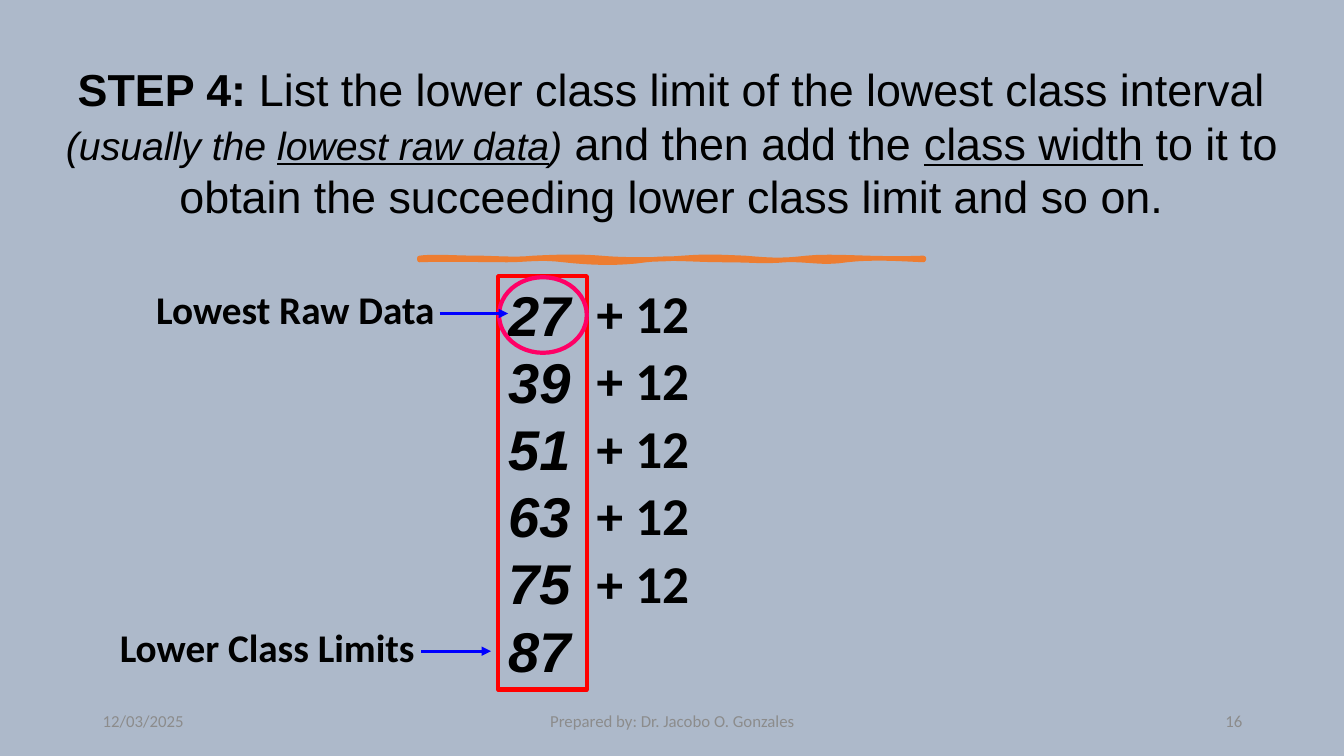
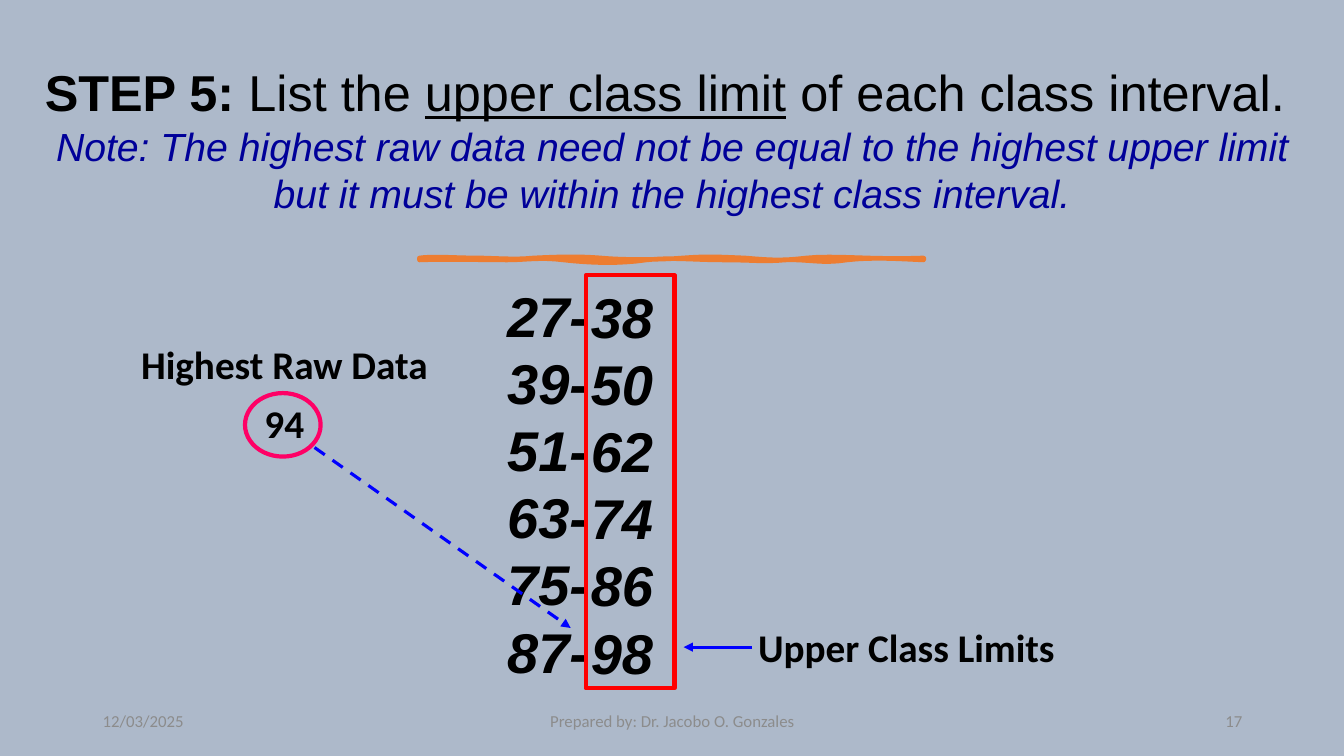
from dataclasses import dataclass

from lxml import etree
from pptx import Presentation
from pptx.dml.color import RGBColor
from pptx.enum.dml import MSO_LINE
from pptx.enum.shapes import MSO_CONNECTOR, MSO_SHAPE
from pptx.enum.text import MSO_ANCHOR, MSO_AUTO_SIZE, PP_ALIGN
from pptx.oxml.ns import qn
from pptx.util import Inches, Pt

LEFT, CENTER, RIGHT = PP_ALIGN.LEFT, PP_ALIGN.CENTER, PP_ALIGN.RIGHT
TOP, MIDDLE = MSO_ANCHOR.TOP, MSO_ANCHOR.MIDDLE
OVAL, RECTANGLE = MSO_SHAPE.OVAL, MSO_SHAPE.RECTANGLE
DASH = MSO_LINE.DASH


@dataclass(frozen=True)
class Theme:
    background: str = "ADB9CA"
    text: str = "000000"
    note: str = "000099"
    footer: str = "8C8C8C"
    swash: str = "ED7D31"
    arrow: str = "0000FF"
    frame: str = "FF0000"
    ring: str = "FF0066"
    title_font: str = "Arial"
    label_font: str = "Calibri"
    note_size: int = 28
    number_size: int = 40
    increment_size: int = 38
    label_size: int = 28
    footer_size: int = 12
    line_height: float = 1.2
    frame_width: float = 3
    arrow_width: float = 2.25
    swash_width: float = 3.25


THEME = Theme()
ASIDE = {"size": THEME.note_size, "italic": True}
UNDERLINED = {"underline": True}
LABEL = {"name": THEME.label_font, "size": THEME.label_size, "bold": True}
INCREMENT = {**LABEL, "size": THEME.increment_size}
FOOTER = {"name": THEME.label_font, "size": THEME.footer_size, "color": THEME.footer}
NUMBER = {"name": THEME.title_font, "size": THEME.number_size, "bold": True, "italic": True}

LOWER_LIMITS = [27, 39, 51, 63, 75, 87]
CLASS_WIDTH = 12
INCREMENT_PITCH = 0.67

# Labels: text, box, alignment. Marks: shape, box, colour. Arrows: start, end, dash.
SLIDES = [
    {
        "layout": 1,
        "page": 16,
        "title_size": 32,
        "title": [[
            ("STEP 4: ", {"bold": True}),
            ("List the lower class limit of the lowest class interval ", {}),
            ("(usually the ", ASIDE),
            ("lowest raw data", {**ASIDE, **UNDERLINED}),
            (")", ASIDE),
            (" and then add the ", {}),
            ("class width", UNDERLINED),
            (" to it to obtain the succeeding lower class limit and so on.", {}),
        ]],
        "columns": [((4.84, 2.73, 1.27, 4.14), [str(limit) for limit in LOWER_LIMITS])],
        "increments": ((5.82, 2.73, 1.38, 0.74), len(LOWER_LIMITS) - 1),
        "labels": [
            ("Lower Class Limits", (1.09, 6.13, 3.46, 0.57), LEFT),
            ("Lowest Raw Data", (1.45, 2.78, 3.27, 0.57), LEFT),
        ],
        "marks": [
            (RECTANGLE, (4.94, 2.74, 0.88, 4.1), THEME.frame),
            (OVAL, (4.95, 2.75, 0.87, 0.75), THEME.ring),
        ],
        "arrows": [
            ((4.18, 6.46), (4.87, 6.46), None),
            ((4.36, 3.11), (5.04, 3.11), None),
        ],
    },
    {
        "layout": 3,
        "page": 17,
        "title_size": 36,
        "title": [
            [
                ("STEP 5: ", {"bold": True}),
                ("List the ", {}),
                ("upper class limit", UNDERLINED),
                (" of each class interval. ", {}),
            ],
            [(
                "Note: The highest raw data need not be equal to the highest upper limit "
                "but it must be within the highest class interval.",
                {**ASIDE, "color": THEME.note},
            )],
        ],
        "columns": [
            ((4.83, 2.74, 1.27, 4.14), [f"{limit}-" for limit in LOWER_LIMITS]),
            ((5.66, 2.75, 1.27, 4.14), [str(limit + CLASS_WIDTH - 1) for limit in LOWER_LIMITS]),
        ],
        "increments": None,
        "labels": [
            ("Upper Class Limits", (7.42, 6.13, 3.46, 0.57), LEFT),
            ("Highest Raw Data", (1.09, 3.33, 3.46, 0.57), CENTER),
            ("94", (1.09, 3.91, 3.46, 0.57), CENTER),
        ],
        "marks": [
            (OVAL, (2.43, 3.9, 0.75, 0.63), THEME.ring),
            (RECTANGLE, (5.81, 2.73, 0.88, 4.1), THEME.frame),
        ],
        "arrows": [
            ((7.46, 6.42), (6.78, 6.42), None),
            ((3.12, 4.44), (5.66, 6.23), DASH),
        ],
    },
]

# Each row is one cubic curve: two control points and the end point.
SWASH_START = (4.16, 2.56)
SWASH_EDGE = [
    (4.28, 2.54, 4.54, 2.56, 4.73, 2.56), (4.92, 2.56, 5.09, 2.58, 5.29, 2.56),
    (5.49, 2.55, 5.74, 2.54, 5.96, 2.56), (6.17, 2.58, 6.53, 2.58, 6.77, 2.56),
    (7.02, 2.54, 7.14, 2.55, 7.39, 2.56), (7.63, 2.58, 7.74, 2.59, 8, 2.56),
    (8.26, 2.53, 8.67, 2.58, 9.16, 2.56), (9.17, 2.57, 9.16, 2.57, 9.16, 2.58),
    (8.95, 2.57, 8.65, 2.55, 8.4, 2.58), (8.15, 2.62, 8.01, 2.57, 7.79, 2.58),
    (7.56, 2.6, 7.47, 2.58, 7.17, 2.58), (6.87, 2.58, 6.67, 2.55, 6.41, 2.58),
    (6.14, 2.62, 5.85, 2.61, 5.59, 2.58), (5.34, 2.55, 5.23, 2.58, 5.03, 2.58),
    (4.83, 2.58, 4.38, 2.57, 4.16, 2.58), (4.16, 2.58, 4.16, 2.57, 4.16, 2.56),
]
CURVE_STEPS = 8


def format_run(run, values):
    values = {"color": THEME.text, **values}
    run.font.color.rgb = RGBColor.from_string(values.pop("color"))
    values["size"] = Pt(values["size"])
    for name, value in values.items():
        setattr(run.font, name, value)


def place(shape, box):
    for name, value in zip(("left", "top", "width", "height"), box):
        setattr(shape, name, Inches(value))


def fill_text(shape, paragraphs, base, alignment=LEFT, anchor=TOP, line_height=None):
    """Write paragraphs, each a list of (text, format) runs, over a base format."""
    frame = shape.text_frame
    settings = {"word_wrap": True, "auto_size": MSO_AUTO_SIZE.NONE, "vertical_anchor": anchor}
    for name, value in settings.items():
        setattr(frame, name, value)
    for index, runs in enumerate(paragraphs):
        paragraph = frame.add_paragraph() if index else frame.paragraphs[0]
        paragraph.alignment = alignment
        paragraph.space_before = Pt(0)
        formats = [{**base, **values} for _, values in runs]
        if line_height:
            paragraph.line_spacing = Pt(line_height * max(values["size"] for values in formats))
        for (text, _), values in zip(runs, formats):
            run = paragraph.add_run()
            run.text = text
            format_run(run, values)


def add_text(slide, text, box, base, alignment=LEFT, anchor=TOP):
    shape = slide.shapes.add_textbox(*map(Inches, box))
    fill_text(shape, [[(text, {})]], base, alignment, anchor)


def fill_column(placeholder, box, numbers):
    place(placeholder, box)
    fill_text(placeholder, [[(number, {})] for number in numbers], NUMBER,
              line_height=THEME.line_height)
    for paragraph in placeholder.text_frame.paragraphs:
        properties = paragraph._p.get_or_add_pPr()
        properties.set("marL", str(Inches(0.1)))
        properties.set("indent", "0")
        etree.SubElement(properties, qn("a:buNone"))


def set_line(shape, color, width):
    shape.line.color.rgb = RGBColor.from_string(color)
    shape.line.width = Pt(width)


def add_mark(slide, kind, box, color):
    shape = slide.shapes.add_shape(kind, *map(Inches, box))
    shape.shadow.inherit = False
    shape.fill.background()
    set_line(shape, color, THEME.frame_width)


def add_arrow(slide, start, end, dash):
    arrow = slide.shapes.add_connector(MSO_CONNECTOR.STRAIGHT, *map(Inches, start + end))
    set_line(arrow, THEME.arrow, THEME.arrow_width)
    if dash:
        arrow.line.dash_style = dash
    etree.SubElement(arrow.line._get_or_add_ln(), qn("a:tailEnd"), type="triangle")
    etree.SubElement(arrow.element.spPr, qn("a:effectLst"))


def curve_points(start, curves):
    """Sample a chain of cubic curves."""
    points = []
    for x1, y1, x2, y2, x3, y3 in curves:
        for step in range(1, CURVE_STEPS + 1):
            t = step / CURVE_STEPS
            weights = ((1 - t) ** 3, 3 * t * (1 - t) ** 2, 3 * t * t * (1 - t), t ** 3)
            points.append(tuple(
                Inches(sum(weight * value for weight, value in zip(weights, values)))
                for values in ((start[0], x1, x2, x3), (start[1], y1, y2, y3))
            ))
        start = (x3, y3)
    return points


def add_swash(slide):
    builder = slide.shapes.build_freeform(*map(Inches, SWASH_START))
    builder.add_line_segments(curve_points(SWASH_START, SWASH_EDGE), close=True)
    swash = builder.convert_to_shape()
    swash.shadow.inherit = False
    swash.fill.solid()
    swash.fill.fore_color.rgb = RGBColor.from_string(THEME.swash)
    set_line(swash, THEME.swash, THEME.swash_width)


def add_footer(slide, page):
    for text, left, width, alignment in (
        ("12/03/2025", 0.92, 3, LEFT),
        ("Prepared by: Dr. Jacobo O. Gonzales", 4.42, 4.5, CENTER),
        (str(page), 9.42, 3, RIGHT),
    ):
        add_text(slide, text, (left, 6.95, width, 0.4), FOOTER, alignment, MIDDLE)


def build_slide(presentation, content):
    slide = presentation.slides.add_slide(presentation.slide_layouts[content["layout"]])
    title, *bodies = slide.placeholders
    place(title, (0.16, 0.56, 13.01, 1.72))
    title_format = {"name": THEME.title_font, "size": content["title_size"]}
    fill_text(title, content["title"], title_format, CENTER, line_height=THEME.line_height)
    for body, (box, numbers) in zip(bodies, content["columns"]):
        fill_column(body, box, numbers)
    add_swash(slide)
    add_footer(slide, content["page"])
    if content["increments"]:
        (left, top, width, height), count = content["increments"]
        for row in range(count):
            box = (left, top + row * INCREMENT_PITCH, width, height)
            add_text(slide, f"+ {CLASS_WIDTH}", box, INCREMENT)
    for text, box, alignment in content["labels"]:
        add_text(slide, text, box, LABEL, alignment)
    for mark in content["marks"]:
        add_mark(slide, *mark)
    for arrow in content["arrows"]:
        add_arrow(slide, *arrow)


def main():
    presentation = Presentation()
    presentation.slide_width, presentation.slide_height = Inches(13.33), Inches(7.5)
    background = presentation.slide_master.background.fill
    background.solid()
    background.fore_color.rgb = RGBColor.from_string(THEME.background)
    for content in SLIDES:
        build_slide(presentation, content)
    presentation.save("out.pptx")


if __name__ == "__main__":
    main()
